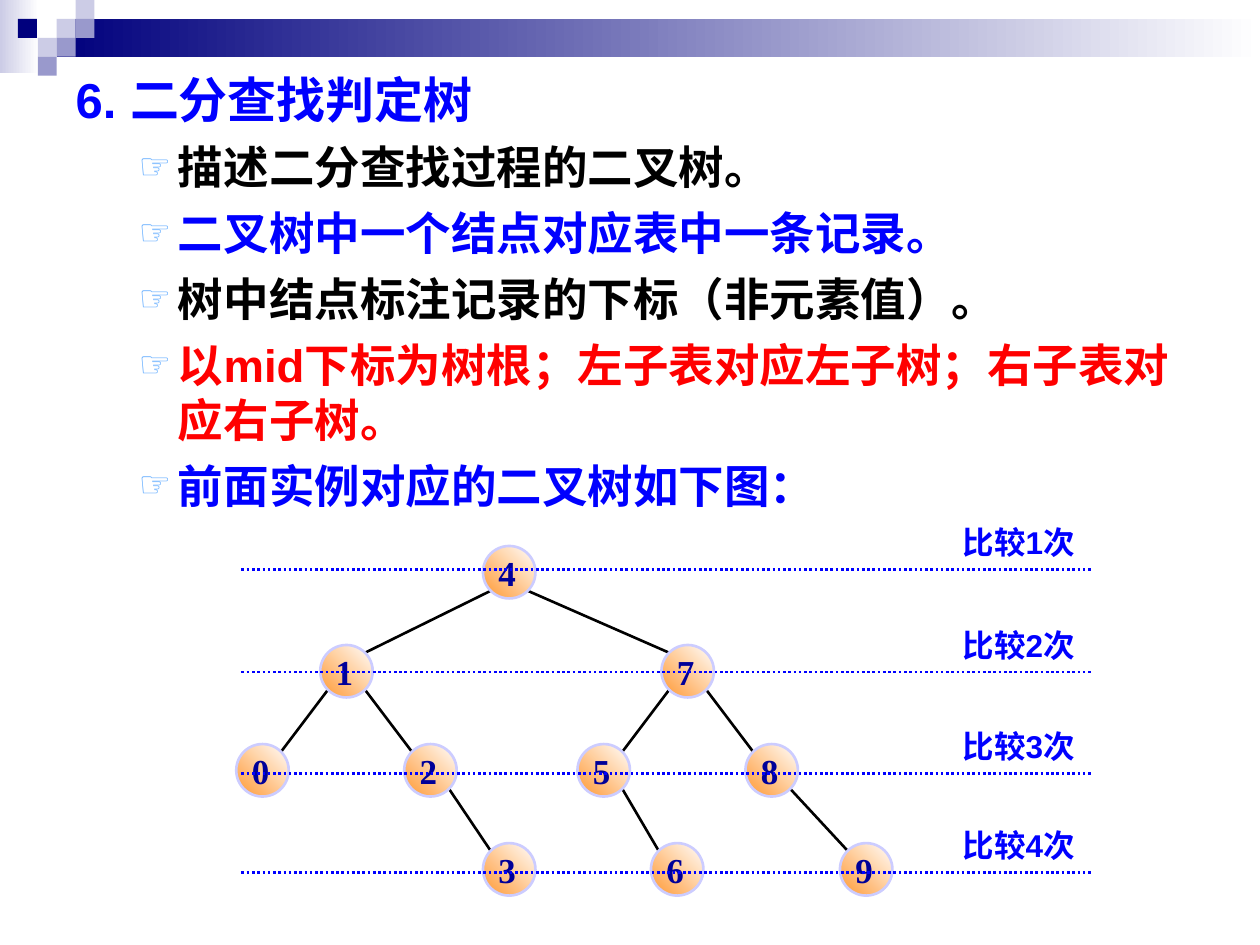
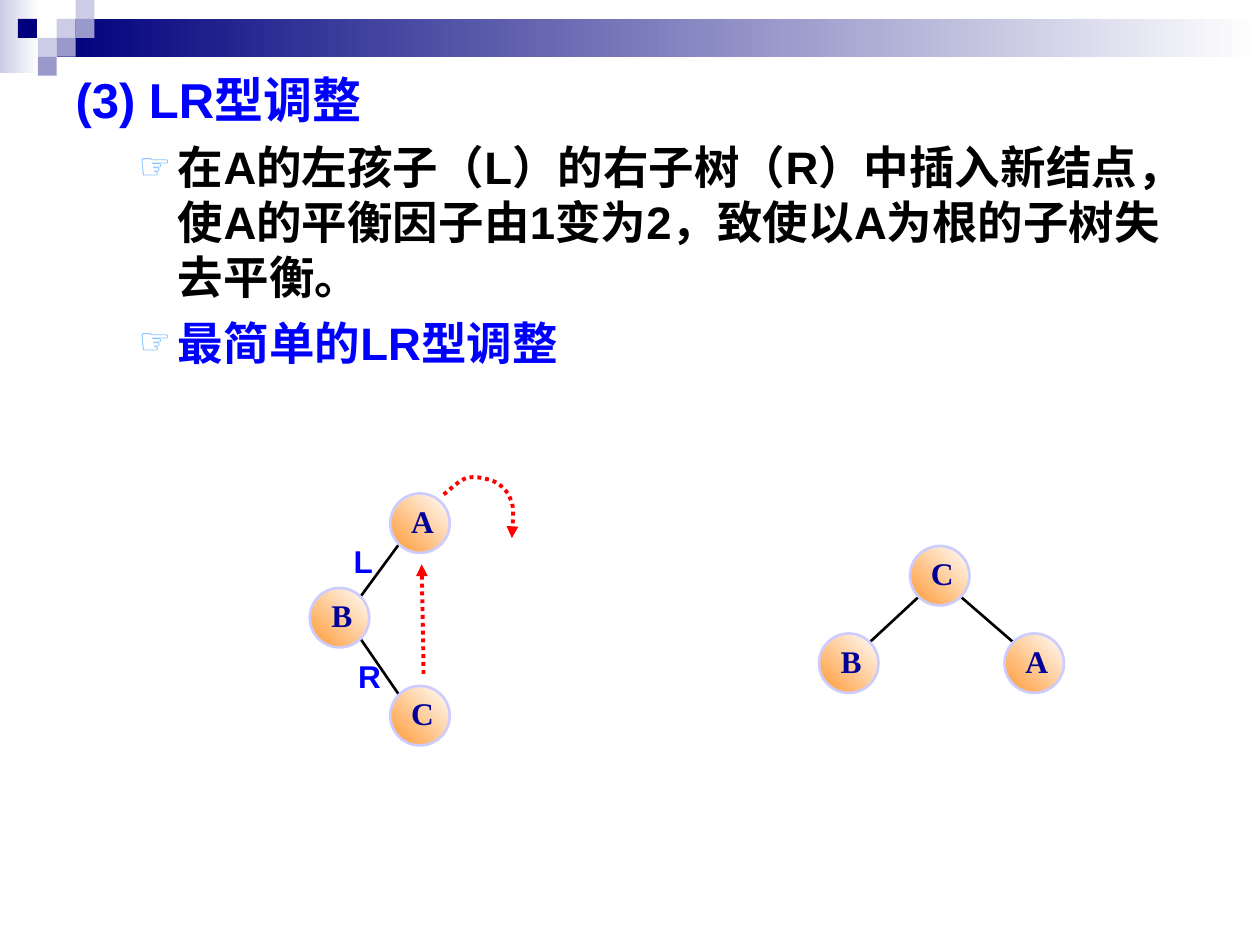
from dataclasses import dataclass
from math import sqrt

from lxml import etree
from pptx import Presentation
from pptx.dml.color import RGBColor
from pptx.enum.dml import MSO_LINE
from pptx.enum.shapes import MSO_CONNECTOR, MSO_SHAPE
from pptx.enum.text import MSO_ANCHOR, MSO_AUTO_SIZE, PP_ALIGN
from pptx.oxml.ns import qn
from pptx.util import Pt

COLORS = {
    "navy": "00007D", "lavender": "CCCCE6", "violet": "9999CC", "white": "FFFFFF",
    "blue": "0000FF", "black": "000000", "red": "FF0000", "bullet": "67AFFF",
    "orange": "FF9933", "node_edge": "CCCCFF", "node_text": "000099",
}
SQUARE = 10.8
CORNER_SQUARES = [  # column, row, colour
    (3, 1, "lavender"), (4, 0, "lavender"), (4, 1, "violet"), (2, 2, "lavender"),
    (0.95, 1, "navy"), (3, 2, "violet"), (2, 3, "violet"),
]


@dataclass
class NodeStyle:
    diameter: float
    size: int
    align: PP_ALIGN
    insets: tuple  # left, top, right, bottom


NUMBER_NODE = NodeStyle(30, 20, PP_ALIGN.LEFT, (4.5, 3.6, 7.2, 3.6))
LETTER_NODE = NodeStyle(34, 18, PP_ALIGN.CENTER, (10, 0.8, 7.2, 3.6))


def rgb(name):
    return RGBColor.from_string(COLORS[name])


def style_font(paragraph, size, color, name="Arial"):
    font = paragraph.font
    font.name, font.size, font.bold = name, Pt(size), True
    font.color.rgb = rgb(color)


def style_line(line, color, width, dash=None):
    line.color.rgb = rgb(color)
    line.width = Pt(width)
    if dash:
        line.dash_style = dash


def add_filled(shapes, kind, box, *colors, angle=0):
    """Add a borderless shape; two colours make a gradient."""
    shape = shapes.add_shape(kind, *map(Pt, box))
    shape.shadow.inherit = False
    shape.line.fill.background()
    if len(colors) == 1:
        shape.fill.solid()
        shape.fill.fore_color.rgb = rgb(colors[0])
    else:
        shape.fill.gradient()
        shape.fill.gradient_angle = angle
        for stop, color in zip(shape.fill.gradient_stops, colors):
            stop.color.rgb = rgb(color)
    return shape


def add_line(shapes, start, end, color, dash=None):
    line = shapes.add_connector(MSO_CONNECTOR.STRAIGHT, *map(Pt, (*start, *end)))
    style_line(line.line, color, 1.5, dash)
    etree.SubElement(line.element.spPr, qn("a:effectLst"))


def add_label(shapes, box, text, wrap=True, align=PP_ALIGN.LEFT):
    frame = shapes.add_textbox(*map(Pt, box)).text_frame
    frame.word_wrap = wrap
    paragraph = frame.paragraphs[0]
    paragraph.text, paragraph.alignment = text, align
    style_font(paragraph, 18, "blue")


def add_master_band(prs, slide):
    """Draw the header band and move it to the slide master."""
    group = slide.shapes.add_group_shape()
    rect = MSO_SHAPE.RECTANGLE
    add_filled(group.shapes, rect, (0, 0, 22.3, 41.8), "lavender", "white")
    add_filled(group.shapes, rect, (3 * SQUARE, SQUARE, 720 - 3 * SQUARE, 2 * SQUARE),
               "navy", "white")
    for column, row, color in CORNER_SQUARES:
        add_filled(group.shapes, rect, (column * SQUARE, row * SQUARE, SQUARE, SQUARE), color)
    prs.slide_master.shapes.element.append(group.element)


def set_bullet(paragraph, left, hanging, char=None):
    props = paragraph._p.get_or_add_pPr()
    props.set("marL", str(Pt(left)))
    props.set("indent", str(-Pt(hanging)))
    if char is None:
        etree.SubElement(props, qn("a:buNone"))
        return
    color = etree.SubElement(props, qn("a:buClr"))
    etree.SubElement(color, qn("a:srgbClr"), val=COLORS["bullet"])
    etree.SubElement(props, qn("a:buSzPct"), val="80000")
    etree.SubElement(props, qn("a:buChar"), char=char)


def add_outline_slide(prs, heading, points):
    slide = prs.slides.add_slide(prs.slide_layouts[1])
    title, body = slide.placeholders
    title.element.getparent().remove(title.element)
    body.left, body.top, body.width, body.height = map(Pt, (36, 36, 648, 504))
    frame = body.text_frame
    frame.auto_size = MSO_AUTO_SIZE.NONE
    first = frame.paragraphs[0]
    first.text = heading
    set_bullet(first, 27, 27)
    first.space_before = Pt(0)
    style_font(first, 28, "blue")
    for text, color in points:
        point = frame.add_paragraph()
        point.text, point.level = text, 1
        set_bullet(point, 58.5, 22.5, "☞")
        point.space_before = Pt(6.5)
        style_font(point, 26, color)
    return slide


def add_node(shapes, left, top, name, style):
    node = add_filled(shapes, MSO_SHAPE.OVAL, (left, top, style.diameter, style.diameter),
                      "orange", "white", angle=45)
    style_line(node.line, "node_edge", 1.5)
    frame = node.text_frame
    frame.word_wrap = False
    frame.vertical_anchor = MSO_ANCHOR.MIDDLE
    (frame.margin_left, frame.margin_top,
     frame.margin_right, frame.margin_bottom) = map(Pt, style.insets)
    paragraph = frame.paragraphs[0]
    paragraph.text, paragraph.alignment = name, style.align
    style_font(paragraph, style.size, "node_text", "Times New Roman")


def add_tree(slide, origin, places, edges, style):
    """Place nodes from the origin; edges such as "41" run from parent to child."""
    shapes = slide.shapes.add_group_shape().shapes
    radius = style.diameter / 2
    reach = radius / sqrt(2)
    spots = {name: (origin[0] + x, origin[1] + y) for name, (x, y) in places.items()}
    for parent, child in edges:
        (px, py), (cx, cy) = spots[parent], spots[child]
        toward = reach if cx > px else -reach
        add_line(shapes, (px + radius + toward, py + radius + reach),
                 (cx + radius - toward, cy + radius - reach), "black")
    for name, (left, top) in spots.items():
        add_node(shapes, left, top, name, style)


def add_level(slide, left, y, count):
    shapes = slide.shapes.add_group_shape().shapes
    add_line(shapes, (left, y), (left + 486, y), "blue", MSO_LINE.ROUND_DOT)
    add_label(shapes, (left + 402, y - 30, 84, 50), f"比较{count}次", align=PP_ALIGN.CENTER)


def add_rotation_arrow(slide, origin, start, *curve):
    """Draw a dotted Bézier arrow; each three points of the curve are one segment."""
    points = [(Pt(origin[0] + x), Pt(origin[1] + y)) for x, y in (start, *curve)]
    builder = slide.shapes.build_freeform(*points[0])
    builder.add_line_segments(points[1:], close=False)
    arrow = builder.convert_to_shape()
    path = next(arrow.element.iter(qn("a:path")))
    steps = path.findall(qn("a:lnTo"))
    for index in range(0, len(steps), 3):
        segment = etree.SubElement(path, qn("a:cubicBezTo"))
        for step in steps[index:index + 3]:
            segment.append(step[0])
            path.remove(step)
    arrow.shadow.inherit = False
    arrow.fill.background()
    style_line(arrow.line, "red", 2.25, MSO_LINE.ROUND_DOT)
    etree.SubElement(arrow.element.spPr.find(qn("a:ln")), qn("a:tailEnd"), type="triangle")


def build_decision_tree_slide(prs):
    slide = add_outline_slide(prs, "6. 二分查找判定树", [
        ("描述二分查找过程的二叉树。", "black"),
        ("二叉树中一个结点对应表中一条记录。", "blue"),
        ("树中结点标注记录的下标（非元素值）。", "black"),
        ("以mid下标为树根；左子表对应左子树；右子表对应右子树。", "red"),
        ("前面实例对应的二叉树如下图：", "blue"),
    ])
    levels = [{"4": 141}, {"1": 48, "7": 243},
              {"0": 0, "2": 96, "5": 195, "8": 291}, {"3": 141, "6": 237, "9": 345}]
    places = {name: (x, 56.6 * depth)
              for depth, level in enumerate(levels) for name, x in level.items()}
    edges = ["41", "47", "10", "12", "75", "78", "23", "56", "89"]
    add_tree(slide, (135, 312), places, edges, NUMBER_NODE)
    for count, y in enumerate((325.5, 384, 442, 498.5), start=1):
        add_level(slide, 138, y, count)
    return slide


def build_lr_rotation_slide(prs):
    slide = add_outline_slide(prs, "(3) LR型调整", [
        ("在A的左孩子（L）的右子树（R）中插入新结点，使A的平衡因子由1变为2，"
         "致使以A为根的子树失去平衡。", "black"),
        ("最简单的LR型调整", "blue"),
    ])
    before = (177, 282)
    add_tree(slide, before, {"A": (46, 0), "B": (0, 54), "C": (46, 110)},
             ["AB", "BC"], LETTER_NODE)
    add_tree(slide, (468, 312), {"C": (52, 0), "B": (0, 50), "A": (106, 50)},
             ["CB", "CA"], LETTER_NODE)
    add_rotation_arrow(slide, before, (76.5, 0.5),
                       (79, -1), (85, -7.5), (90, -9),
                       (95, -10), (101, -8.5), (105, -7),
                       (109, -5), (113, -2), (115, 4),
                       (117, 9), (115.5, 21), (115.5, 25.5))
    add_rotation_arrow(slide, before, (65, 103), (65, 90), (64, 50.5), (64, 40.5))
    for letter, x, y in (("L", 18, 24), ("R", 20.5, 90)):
        add_label(slide.shapes, (before[0] + x, before[1] + y, 26, 29), letter, wrap=False)


def main():
    prs = Presentation()
    prs.slide_width, prs.slide_height = Pt(720), Pt(540)
    first = build_decision_tree_slide(prs)
    add_master_band(prs, first)
    build_lr_rotation_slide(prs)
    prs.save("out.pptx")


if __name__ == "__main__":
    main()
